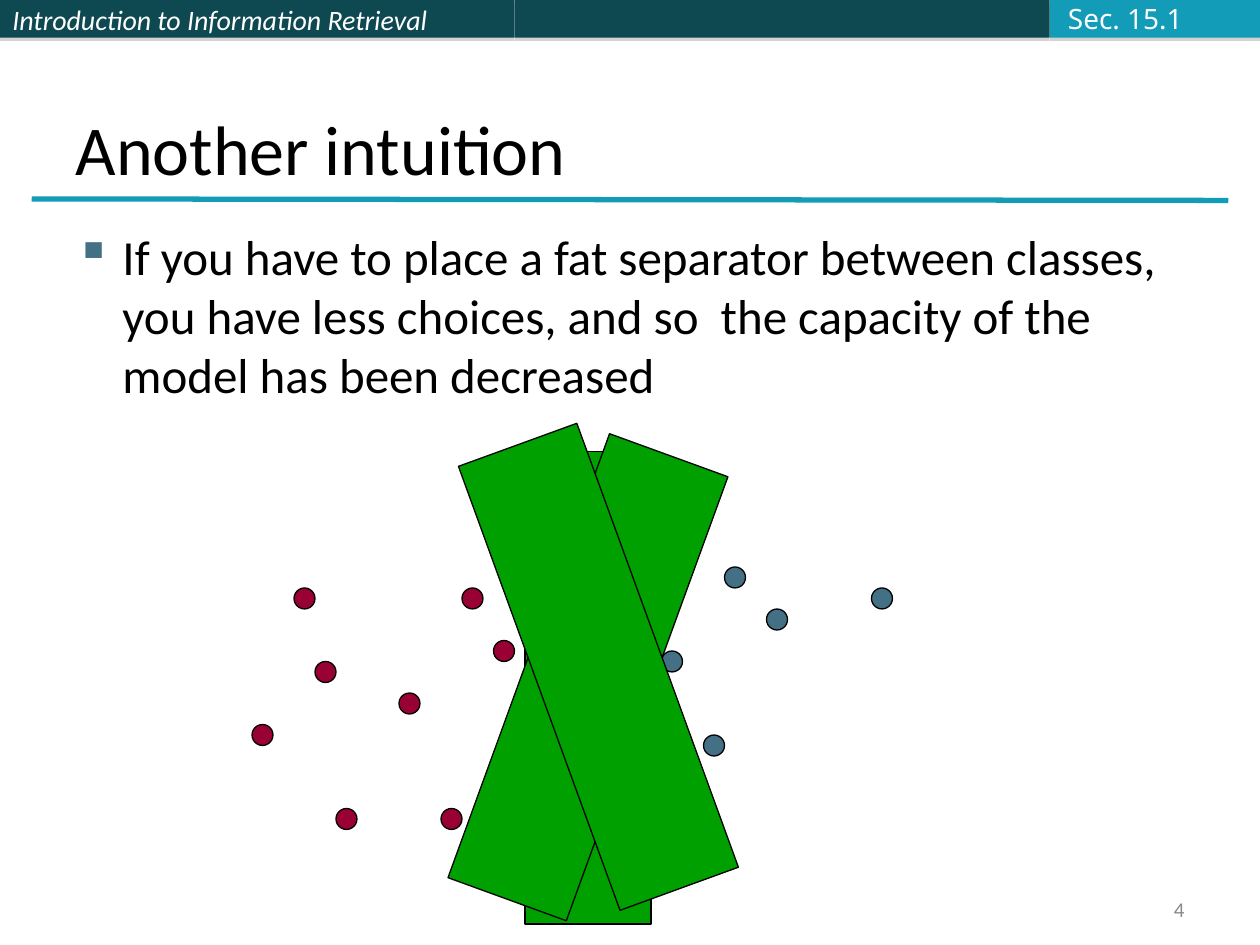
from lxml import etree
from pptx import Presentation
from pptx.dml.color import RGBColor
from pptx.enum import shapes, text
from pptx.oxml import ns
from pptx.util import Cm, Pt

COLORS = {
    "band": "0E4851",
    "accent": "139CB7",
    "shadow": "808080",
    "white": "FFFFFF",
    "section": "FBFCFF",
    "ink": "000000",
    "number": "898989",
    "red": "990033",
    "blue": "437085",
    "green": "00A000",
}
GRID = Cm(2.54) / 12
RED_POINTS = [(28, 56), (30, 63), (32, 77), (44, 56), (24, 69), (38, 66), (47, 61), (42, 77)]
BLUE_POINTS = [(63, 62), (67, 70), (69, 54), (83, 56), (73, 58)]
SEPARATORS = [(50, 43, 0), (50, 42, 20), (51, 41, 340)]


def color(name):
    return RGBColor.from_string(COLORS[name])


def add_child(parent, tag, **attributes):
    return etree.SubElement(parent, ns.qn(tag), attributes)


def write(frame, words, size, ink, font="Calibri", align=text.PP_ALIGN.LEFT,
          anchor=text.MSO_ANCHOR.MIDDLE, wrap=True):
    frame.word_wrap = wrap
    frame.auto_size = text.MSO_AUTO_SIZE.NONE
    frame.vertical_anchor = anchor
    paragraph = frame.paragraphs[0]
    paragraph.text = words
    paragraph.alignment = align
    paragraph.font.size = Pt(size)
    paragraph.font.name = font
    paragraph.font.color.rgb = color(ink)
    return paragraph


def add_label(slide, box, words, size, ink, **style):
    label = slide.shapes.add_textbox(*map(Cm, box))
    return write(label.text_frame, words, size, ink, **style)


def add_band(slide, left, width, fill):
    band = slide.shapes.add_shape(
        shapes.MSO_SHAPE.RECTANGLE, Cm(left), Cm(0), Cm(width), Cm(0.76))
    band.fill.solid()
    band.fill.fore_color.rgb = color(fill)
    band.line.fill.background()
    effects = add_child(band._element.spPr, "a:effectLst")
    shadow = add_child(effects, "a:outerShdw", dist=str(Pt(1.8)), dir="5400000", rotWithShape="0")
    shade = add_child(shadow, "a:srgbClr", val=COLORS["shadow"])
    add_child(shade, "a:alpha", val="35000")
    return band


def add_rule(slide):
    rule = slide.shapes.add_connector(
        shapes.MSO_CONNECTOR.STRAIGHT, Cm(0.64), Cm(4.01), Cm(24.76), Cm(4.04))
    rule.line.color.rgb = color("accent")
    rule.line.width = Pt(3)
    add_child(rule._element.spPr, "a:effectLst")


def add_bullet(slide, words):
    paragraph = add_label(slide, (1.27, 4.45, 22.86, 13.76), words, 28, "ink",
                          anchor=text.MSO_ANCHOR.TOP)
    paragraph.space_before = Pt(7)
    properties = paragraph._p.get_or_add_pPr()
    properties.set("marL", str(Cm(0.95)))
    properties.set("indent", str(-Cm(0.95)))
    bullet_color = add_child(properties, "a:buClr")
    add_child(bullet_color, "a:srgbClr", val=COLORS["blue"])
    add_child(properties, "a:buChar", char="▪")


def add_figure(slide, kind, cells, fill, rotation=0):
    figure = slide.shapes.add_shape(kind, *(round(cell * GRID) for cell in cells))
    figure.shadow.inherit = False
    figure.fill.solid()
    figure.fill.fore_color.rgb = color(fill)
    figure.line.color.rgb = color("ink")
    figure.line.width = Pt(0.75)
    figure.rotation = rotation


def add_header(slide):
    course = add_band(slide, 0, 10.36, "band")
    write(course.text_frame, "Introduction to Information Retrieval",
          16, "white").font.italic = True
    add_band(slide, 10.37, 10.79, "band")
    add_band(slide, 21.17, 4.23, "accent")
    add_label(slide, (21.28, -0.1, 2.82, 0.94), "Sec. 15.1", 16, "section",
              font="Noto Sans", wrap=False)


def add_title(slide):
    title = slide.shapes.title
    title.left, title.top, title.width, title.height = map(Cm, (1.27, 0.76, 22.86, 3.18))
    write(title.text_frame, "Another intuition", 40, "ink", anchor=text.MSO_ANCHOR.BOTTOM)


def main():
    deck = Presentation()
    deck.slide_width, deck.slide_height = Cm(25.4), Cm(19.05)
    slide = deck.slides.add_slide(deck.slide_layouts[5])
    add_header(slide)
    add_rule(slide)
    add_label(slide, (18.2, 17.98, 5.93, 0.69), "4", 12, "number", align=text.PP_ALIGN.RIGHT)
    add_title(slide)
    add_bullet(slide, "If you have to place a fat separator between classes, you have less "
                      "choices, and so  the capacity of the model has been decreased")
    for fill, points in (("red", RED_POINTS), ("blue", BLUE_POINTS)):
        for column, row in points:
            add_figure(slide, shapes.MSO_SHAPE.OVAL, (column, row, 2, 2), fill)
    for column, row, rotation in SEPARATORS:
        add_figure(slide, shapes.MSO_SHAPE.RECTANGLE, (column, row, 12, 45), "green", rotation)
    deck.save("out.pptx")


if __name__ == "__main__":
    main()
